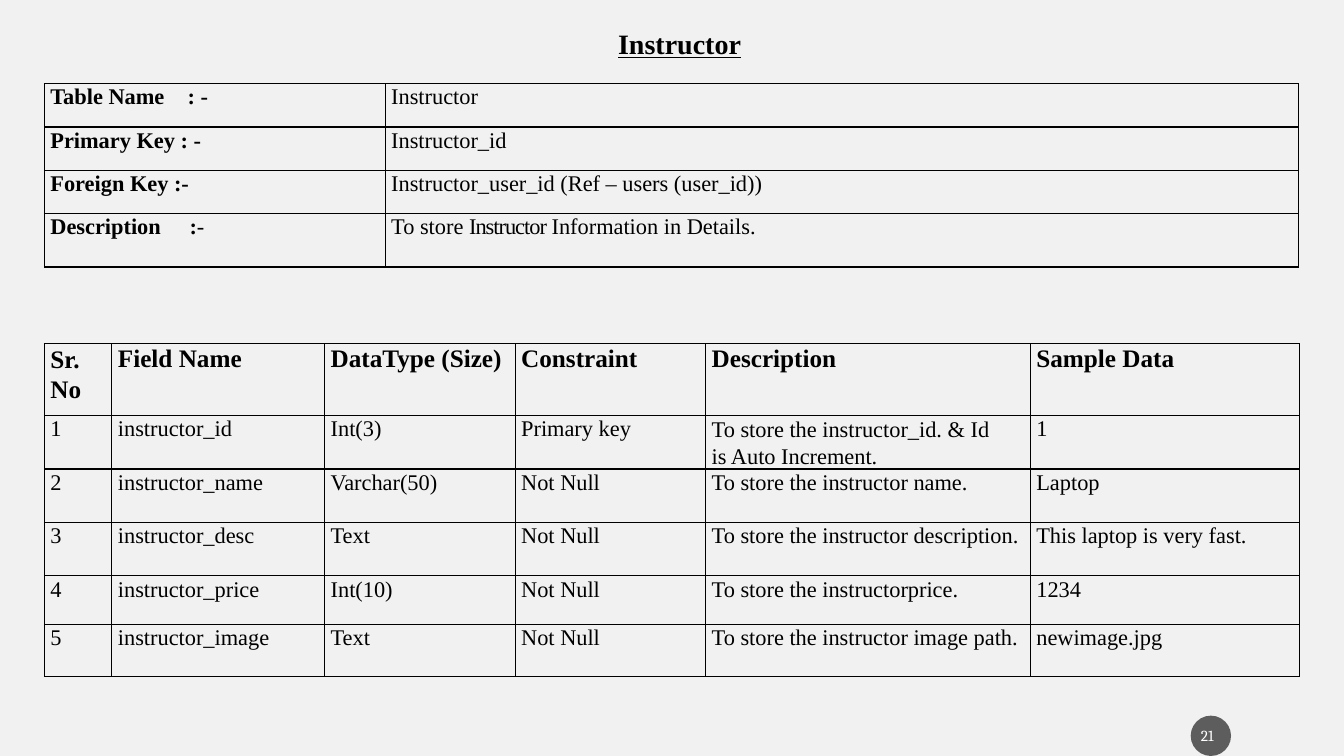
from dataclasses import dataclass

from lxml import etree
from pptx import Presentation
from pptx.dml import color
from pptx.enum import shapes, text
from pptx.oxml import ns
from pptx.util import Inches, Pt


@dataclass(frozen=True)
class Theme:
    background: str = "F1F1F1"
    ink: str = "000000"
    badge: str = "1C1C1C"
    badge_opacity: int = 69000
    badge_ink: str = "FFFFFF"
    face: str = "Times New Roman"
    number_face: str = "Cambria"
    title_size: int = 20
    header_size: int = 18
    body_size: int = 16
    number_size: int = 11


THEME = Theme()

SUMMARY = [
    ("Table Name\t: -", "Instructor"),
    ("Primary Key : -", "Instructor_id"),
    ("Foreign Key :-", "Instructor_user_id (Ref – users (user_id))"),
    (
        [("Description\t:", True, 0), ("-", False, 0)],
        [("To store ", False, 0), ("Instructor ", False, -70),
         ("Information in Details.", False, 0)],
    ),
]
SUMMARY_TABS = {0: 1.36, 3: 1.38}

FIELDS = [
    ("Sr. No", "Field Name", "DataType (Size)", "Constraint", "Description", "Sample Data"),
    ("1", "instructor_id", "Int(3)", "Primary key",
     "To store the instructor_id. & Id is Auto Increment.", "1"),
    ("2", "instructor_name", "Varchar(50)", "Not Null",
     "To store the instructor name.", "Laptop"),
    ("3", "instructor_desc", "Text", "Not Null",
     "To store the instructor description.", "This laptop is very fast."),
    ("4", "instructor_price", "Int(10)", "Not Null",
     "To store the instructorprice.", "1234"),
    ("5", "instructor_image", "Text", "Not Null",
     "To store the instructor image path.", "newimage.jpg"),
]


def rgb(value):
    return color.RGBColor.from_string(value)


def style(paragraph, face, size, ink, bold=None):
    font = paragraph.font
    font.name, font.size, font.bold = face, Pt(size), bold
    font.color.rgb = rgb(ink)


def clear_margins(holder):
    holder.margin_left = holder.margin_right = 0
    holder.margin_top = holder.margin_bottom = 0


def add_child(parent, tag, **attributes):
    return etree.SubElement(parent, ns.qn(tag), attributes)


def draw_borders(cell):
    properties = cell._tc.get_or_add_tcPr()
    for side in "LRTB":
        line = add_child(properties, f"a:ln{side}", w=str(Pt(1)))
        add_child(add_child(line, "a:solidFill"), "a:srgbClr", val=THEME.ink)


def fill_cell(cell, content, size, leading, bold, tab=None):
    clear_margins(cell)
    cell.margin_left = Inches(0.06)
    draw_borders(cell)
    cell.fill.background()
    paragraph = cell.text_frame.paragraphs[0]
    paragraph.line_spacing = Pt(leading)
    if tab:
        tabs = add_child(paragraph._p.get_or_add_pPr(), "a:tabLst")
        add_child(tabs, "a:tab", pos=str(Inches(tab)), algn="l")
    mixed = isinstance(content, list)
    style(paragraph, THEME.face, size, THEME.ink, None if mixed else bold)
    for words, weight, spacing in content if mixed else [(content, None, 0)]:
        run = paragraph.add_run()
        run.text = words
        if mixed:
            run.font.bold = weight
        if spacing:
            run.font._element.set("spc", str(spacing))


def add_grid(slide, left, top, widths, heights):
    frame = slide.shapes.add_table(
        len(heights), len(widths), Inches(left), Inches(top),
        Inches(sum(widths)), Inches(sum(heights)))
    grid = frame.table
    grid.first_row = grid.horz_banding = False
    for column, width in zip(grid.columns, widths):
        column.width = Inches(width)
    for row, height in zip(grid.rows, heights):
        row.height = Inches(height)
    return grid


def add_summary(slide, left, top):
    grid = add_grid(slide, left, top, [3.38, 9.06], [0.43] * 3 + [0.53])
    for row, (label, value) in enumerate(SUMMARY):
        fill_cell(grid.cell(row, 0), label, THEME.body_size, 18.6, True, SUMMARY_TABS.get(row))
        fill_cell(grid.cell(row, 1), value, THEME.body_size, 18.6, False)


def add_fields(slide, left, top):
    grid = add_grid(slide, left, top, [0.67, 2.11, 1.89, 1.89, 3.22, 2.67],
                    [0.71, 0.53, 0.53, 0.53, 0.48, 0.52])
    for row, record in enumerate(FIELDS):
        header = row == 0
        size, leading = (THEME.header_size, 20.9) if header else (THEME.body_size, 18.6)
        for column, entry in enumerate(record):
            fill_cell(grid.cell(row, column), entry, size, leading, header)
    grid.cell(0, 0).text_frame.paragraphs[0].line_spacing = Pt(21.6)
    id_description = grid.cell(1, 4)
    id_description.margin_right = Inches(0.25)
    id_description.text_frame.paragraphs[0].line_spacing = Pt(19.2)


def add_title(slide, left, top, width, height):
    title = slide.shapes.title
    title.left, title.top = Inches(left), Inches(top)
    title.width, title.height = Inches(width), Inches(height)
    frame = title.text_frame
    clear_margins(frame)
    frame.margin_left = frame.margin_top = Inches(0.01)
    frame.vertical_anchor = text.MSO_ANCHOR.TOP
    frame.auto_size = text.MSO_AUTO_SIZE.NONE
    frame.word_wrap = True
    heading = frame.paragraphs[0]
    heading.text = "Instructor"
    heading.alignment = text.PP_ALIGN.LEFT
    style(heading, THEME.face, THEME.title_size, THEME.ink, True)
    heading.font.underline = True


def add_page_number(slide, left, top, diameter):
    badge = slide.shapes.add_shape(
        shapes.MSO_SHAPE.OVAL, Inches(left), Inches(top), Inches(diameter), Inches(diameter))
    badge.shadow.inherit = False
    badge.fill.solid()
    badge.fill.fore_color.rgb = rgb(THEME.badge)
    tint = badge._element.spPr.find(".//" + ns.qn("a:srgbClr"))
    add_child(tint, "a:alpha", val=str(THEME.badge_opacity))
    badge.line.fill.background()

    number = slide.shapes.add_textbox(
        Inches(left + 0.06), Inches(top + 0.1), Inches(0.44), Inches(0.21))
    frame = number.text_frame
    clear_margins(frame)
    frame.margin_left = Inches(0.04)
    frame.word_wrap = True
    page = frame.paragraphs[0]
    page.text = "21"
    style(page, THEME.number_face, THEME.number_size, THEME.badge_ink)


def add_dictionary_slide(deck):
    slide = deck.slides.add_slide(deck.slide_layouts[5])
    slide.background.fill.solid()
    slide.background.fill.fore_color.rgb = rgb(THEME.background)
    add_summary(slide, 0.44, 0.83)
    add_fields(slide, 0.44, 3.41)
    add_title(slide, 6.12, 0.25, 1.29, 0.35)
    add_page_number(slide, 11.81, 7.1, 0.4)


def main():
    deck = Presentation()
    deck.slide_width, deck.slide_height = Inches(13.33), Inches(7.5)
    add_dictionary_slide(deck)
    deck.save("out.pptx")


if __name__ == "__main__":
    main()
